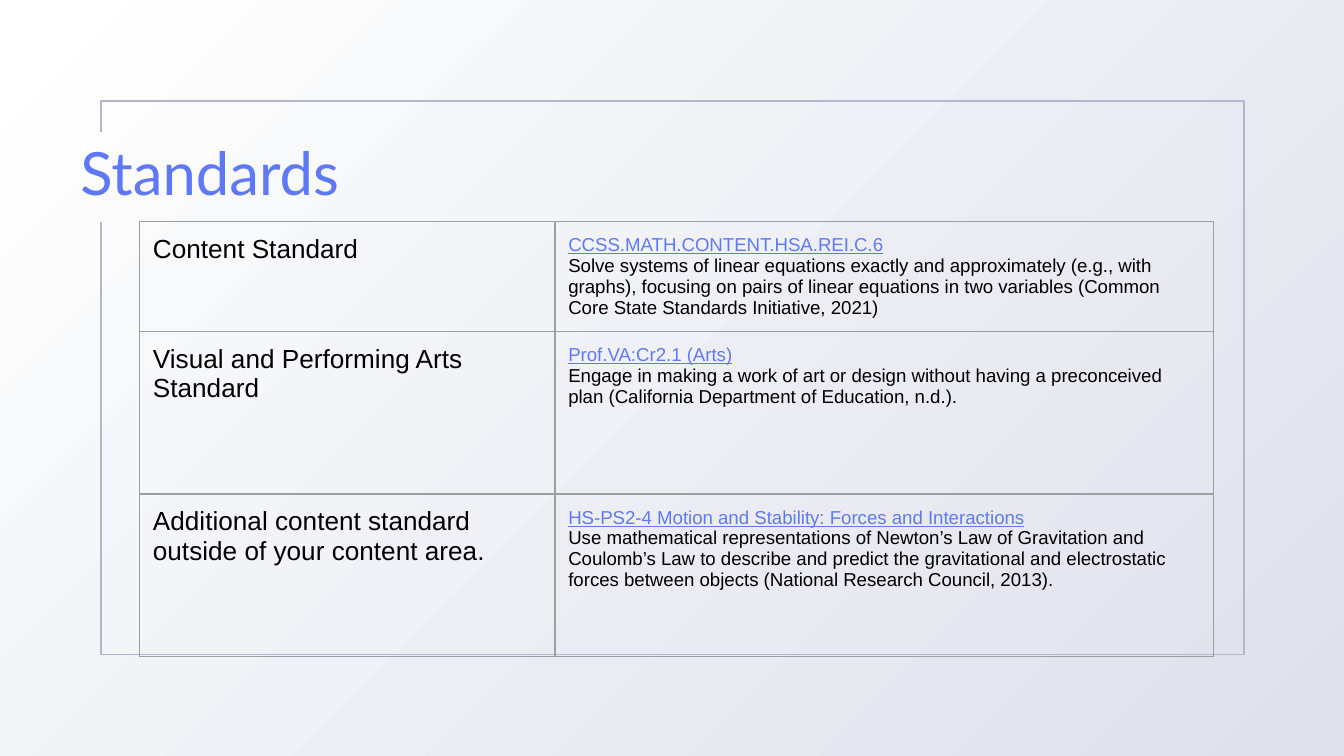
import pptx
import pptx.util
import pptx.dml.color
import pptx.enum.text
import pptx.oxml
import pptx.oxml.ns
from pptx.util import Cm

ACCENT = "5F79F6"
BLACK = "000000"
STANDARDS = [
    ("Content Standard",
     "CCSS.MATH.CONTENT.HSA.REI.C.6",
     "Solve systems of linear equations exactly and approximately (e.g., with graphs), "
     "focusing on pairs of linear equations in two variables "
     "(Common Core State Standards Initiative, 2021)"),
    ("Visual and Performing Arts Standard",
     "Prof.VA:Cr2.1 (Arts)",
     "Engage in making a work of art or design without having a preconceived plan "
     "(California Department of Education, n.d.)."),
    ("Additional content standard outside of your content area.",
     "HS-PS2-4 Motion and Stability: Forces and Interactions",
     "Use mathematical representations of Newton’s Law of Gravitation and Coulomb’s Law "
     "to describe and predict the gravitational and electrostatic forces between objects "
     "(National Research Council, 2013)."),
]


def set_color(color_format, value):
    color_format.rgb = pptx.dml.color.RGBColor.from_string(value)


def add_run(paragraph, text, size, color=BLACK, font="Arial", underline=None):
    run = paragraph.add_run()
    run.text = text
    run.font.size = pptx.util.Pt(size)
    run.font.name = font
    run.font.underline = underline
    set_color(run.font.color, color)


def set_background(slide):
    fill = slide.background.fill
    fill.gradient()
    fill.gradient_angle = 315
    for stop, position, color in zip(fill.gradient_stops, (0, 1), ("FFFFFF", "DEE0EB")):
        stop.position = position
        set_color(stop.color, color)


def add_title(slide, text):
    title = slide.shapes.title
    title.left, title.top, title.width, title.height = Cm(1.52), Cm(2.46), Cm(21.6), Cm(1.75)
    frame = title.text_frame
    frame.margin_left = frame.margin_right = frame.margin_top = frame.margin_bottom = 0
    frame.vertical_anchor = pptx.enum.text.MSO_ANCHOR.MIDDLE
    frame.auto_size = pptx.enum.text.MSO_AUTO_SIZE.NONE
    paragraph = frame.paragraphs[0]
    paragraph.alignment = pptx.enum.text.PP_ALIGN.LEFT
    paragraph.line_spacing = 0.9
    add_run(paragraph, text, 32, ACCENT, "Lato")


def add_open_frame(slide):
    left, top, right, bottom = Cm(1.91), Cm(1.91), Cm(23.51), Cm(12.37)
    builder = slide.shapes.build_freeform(left, Cm(2.49))
    corners = [(left, top), (right, top), (right, bottom), (left, bottom), (left, Cm(4.19))]
    builder.add_line_segments(corners, close=False)
    outline = builder.convert_to_shape()
    outline.shadow.inherit = False
    outline.fill.background()
    outline.line.width = pptx.util.Pt(0.75)
    set_color(outline.line.color, "B3B7CC")
    slide.shapes.title._element.addprevious(outline._element)


def format_cell(cell):
    cell.margin_left = cell.margin_right = cell.margin_top = cell.margin_bottom = Cm(0.25)
    properties = cell._tc.get_or_add_tcPr()
    for side in ("lnL", "lnR", "lnT", "lnB"):
        properties.append(pptx.oxml.parse_xml(
            f'<a:{side} {pptx.oxml.ns.nsdecls("a")} w="9525">'
            f'<a:solidFill><a:srgbClr val="9E9E9E"/></a:solidFill></a:{side}>'))
    cell.fill.background()


def add_standards_table(slide, standards):
    widths = [Cm(7.85), Cm(12.45)]
    heights = [Cm(2.01), Cm(3.07), Cm(3.07)]
    table = slide.shapes.add_table(
        len(heights), len(widths), Cm(2.64), Cm(4.19), sum(widths), sum(heights)).table
    table.first_row = False
    table.horz_banding = False
    for column, width in zip(table.columns, widths):
        column.width = width
    for row, height, (label, code, description) in zip(table.rows, heights, standards):
        row.height = height
        label_cell, detail_cell = row.cells
        format_cell(label_cell)
        format_cell(detail_cell)
        add_run(label_cell.text_frame.paragraphs[0], label, 14)
        detail = detail_cell.text_frame
        add_run(detail.paragraphs[0], code, 10, ACCENT, underline=True)
        add_run(detail.add_paragraph(), description, 10)


def main():
    presentation = pptx.Presentation()
    presentation.slide_width = Cm(25.4)
    presentation.slide_height = Cm(14.29)
    slide = presentation.slides.add_slide(presentation.slide_layouts[5])
    set_background(slide)
    add_title(slide, "Standards")
    add_open_frame(slide)
    add_standards_table(slide, STANDARDS)
    presentation.save("out.pptx")


if __name__ == "__main__":
    main()
